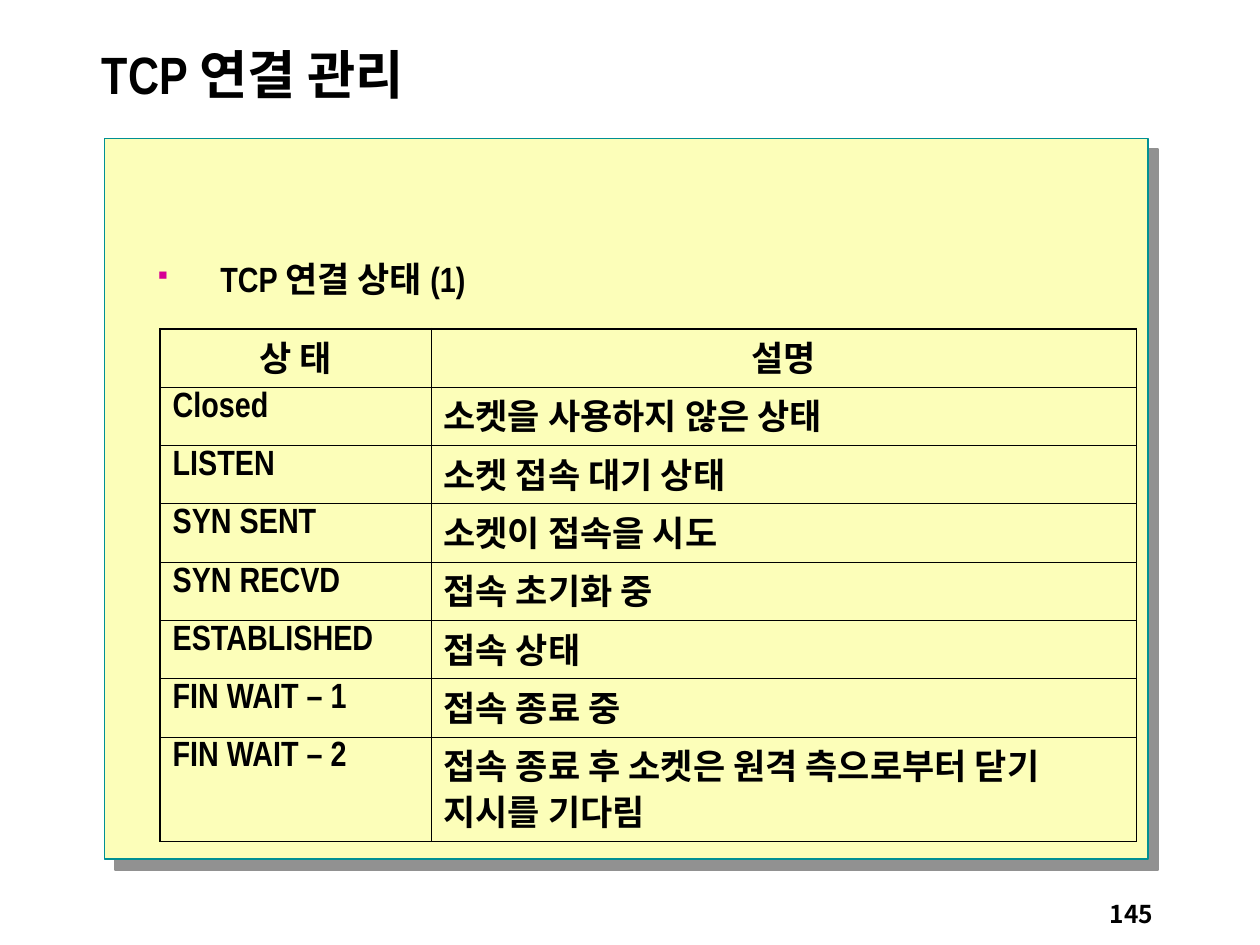
from lxml import etree
from pptx import Presentation
from pptx.dml.color import RGBColor
from pptx.enum.shapes import MSO_SHAPE as Shape
from pptx.enum.text import MSO_ANCHOR as Anchor, PP_ALIGN as Align
from pptx.oxml.ns import qn
from pptx.util import Inches, Pt

BLACK = RGBColor(0x00, 0x00, 0x00)
CREAM = RGBColor(0xFC, 0xFE, 0xB9)
TEAL = RGBColor(0x00, 0x90, 0x94)
GREY = RGBColor(0x91, 0x91, 0x91)
MAGENTA = RGBColor(0xD6, 0x00, 0x93)

LATIN_FONT = "Arial Narrow"
KOREAN_FONT = "Noto Sans CJK KR"
OUTER, INNER = 1.08, 0.45  # table border widths in points

STATES = [
    ("상 태", "설명"),
    ("Closed", "소켓을 사용하지 않은 상태"),
    ("LISTEN", "소켓 접속 대기 상태"),
    ("SYN SENT", "소켓이 접속을 시도"),
    ("SYN RECVD", "접속 초기화 중"),
    ("ESTABLISHED", "접속 상태"),
    ("FIN WAIT – 1", "접속 종료 중"),
    ("FIN WAIT – 2", "접속 종료 후 소켓은 원격 측으로부터 닫기 지시를 기다림"),
]
COLUMN_WIDTHS = (2.15, 5.6)
LAST_ROW_HEIGHT = 0.83  # two lines of text


def add_element(parent, tag, **attributes):
    element = etree.SubElement(parent, qn(tag))
    for name, value in attributes.items():
        element.set(name, str(value))
    return element


def write(paragraph, text, size, font=LATIN_FONT, align=Align.LEFT, spacing=1.0):
    paragraph.alignment = align
    paragraph.line_spacing = spacing
    run = paragraph.add_run()
    run.text = text
    for name, value in {"size": Pt(size), "name": font, "bold": True}.items():
        setattr(run.font, name, value)
    run.font.color.rgb = BLACK
    add_element(run.font._element, "a:ea", typeface=KOREAN_FONT)


def add_text_box(slide, box, anchor):
    frame = slide.shapes.add_textbox(*map(Inches, box)).text_frame
    frame.word_wrap = True
    frame.vertical_anchor = anchor
    return frame.paragraphs[0]


def add_panel(slide, box):
    panel = slide.shapes.add_shape(Shape.RECTANGLE, *map(Inches, box))
    panel.fill.solid()
    panel.fill.fore_color.rgb = CREAM
    panel.line.color.rgb = TEAL
    panel.line.width = Pt(1)
    # Hard shadow towards the lower right
    panel.shadow.inherit = False
    effects = panel._element.spPr.find(qn("a:effectLst"))
    shadow = add_element(effects, "a:outerShdw", dist=Pt(8.5), dir=45 * 60000,
                         algn="ctr", rotWithShape=0)
    add_element(shadow, "a:srgbClr", val=GREY)


def add_title(slide, box):
    write(add_text_box(slide, box, Anchor.MIDDLE), "TCP 연결 관리", 30, spacing=0.8)


def add_subtitle(slide, box):
    paragraph = add_text_box(slide, box, Anchor.TOP)
    properties = paragraph._p.get_or_add_pPr()
    properties.set("marL", str(Inches(0.5)))
    properties.set("indent", str(Inches(-0.5)))
    add_element(add_element(properties, "a:buClr"), "a:srgbClr", val=MAGENTA)
    add_element(properties, "a:buSzPct", val=70000)
    # In Wingdings this character is the small square
    add_element(properties, "a:buFont", typeface="Wingdings", charset=2)
    add_element(properties, "a:buChar", char="§")
    write(paragraph, "TCP 연결 상태 (1)", 20, spacing=0.9)


def set_borders(cell, widths):
    properties = cell._tc.get_or_add_tcPr()
    for index, (side, width) in enumerate(widths.items()):
        line = etree.Element(qn(f"a:{side}"), w=str(Pt(width)))
        add_element(add_element(line, "a:solidFill"), "a:srgbClr", val=BLACK)
        properties.insert(index, line)  # borders come before the fill


def add_state_table(slide, box):
    last_row, last_column = len(STATES) - 1, len(COLUMN_WIDTHS) - 1
    table = slide.shapes.add_table(len(STATES), len(COLUMN_WIDTHS),
                                   *map(Inches, box)).table
    table.first_row = table.horz_banding = False
    for column, width in zip(table.columns, COLUMN_WIDTHS):
        column.width = Inches(width)
    # The one-line rows share what the last row leaves
    row_height = (box[3] - LAST_ROW_HEIGHT) / last_row
    for r, texts in enumerate(STATES):
        table.rows[r].height = Inches(LAST_ROW_HEIGHT if r == last_row else row_height)
        for c, text in enumerate(texts):
            cell = table.cell(r, c)
            cell.fill.background()
            set_borders(cell, {
                "lnL": OUTER if c == 0 else INNER,
                "lnR": OUTER if c == last_column else INNER,
                "lnT": OUTER if r == 0 else INNER,
                "lnB": OUTER if r == last_row else INNER,
            })
            write(cell.text_frame.paragraphs[0], text, 20, spacing=0.9,
                  align=Align.CENTER if r == 0 else Align.LEFT)


def add_page_number(slide, box):
    write(add_text_box(slide, box, Anchor.BOTTOM), "145", 14, KOREAN_FONT, Align.RIGHT)


def main():
    presentation = Presentation()
    presentation.slide_width, presentation.slide_height = Inches(10), Inches(7.5)
    slide = presentation.slides.add_slide(presentation.slide_layouts[6])
    add_panel(slide, (0.83, 1.1, 8.28, 5.72))
    add_page_number(slide, (7.17, 6.92, 2.08, 0.5))
    add_title(slide, (0.71, 0.17, 8.96, 0.92))
    add_subtitle(slide, (1.15, 2.03, 3.85, 4.69))
    add_state_table(slide, (1.27, 2.61, sum(COLUMN_WIDTHS), 4.07))
    presentation.save("out.pptx")


if __name__ == "__main__":
    main()
